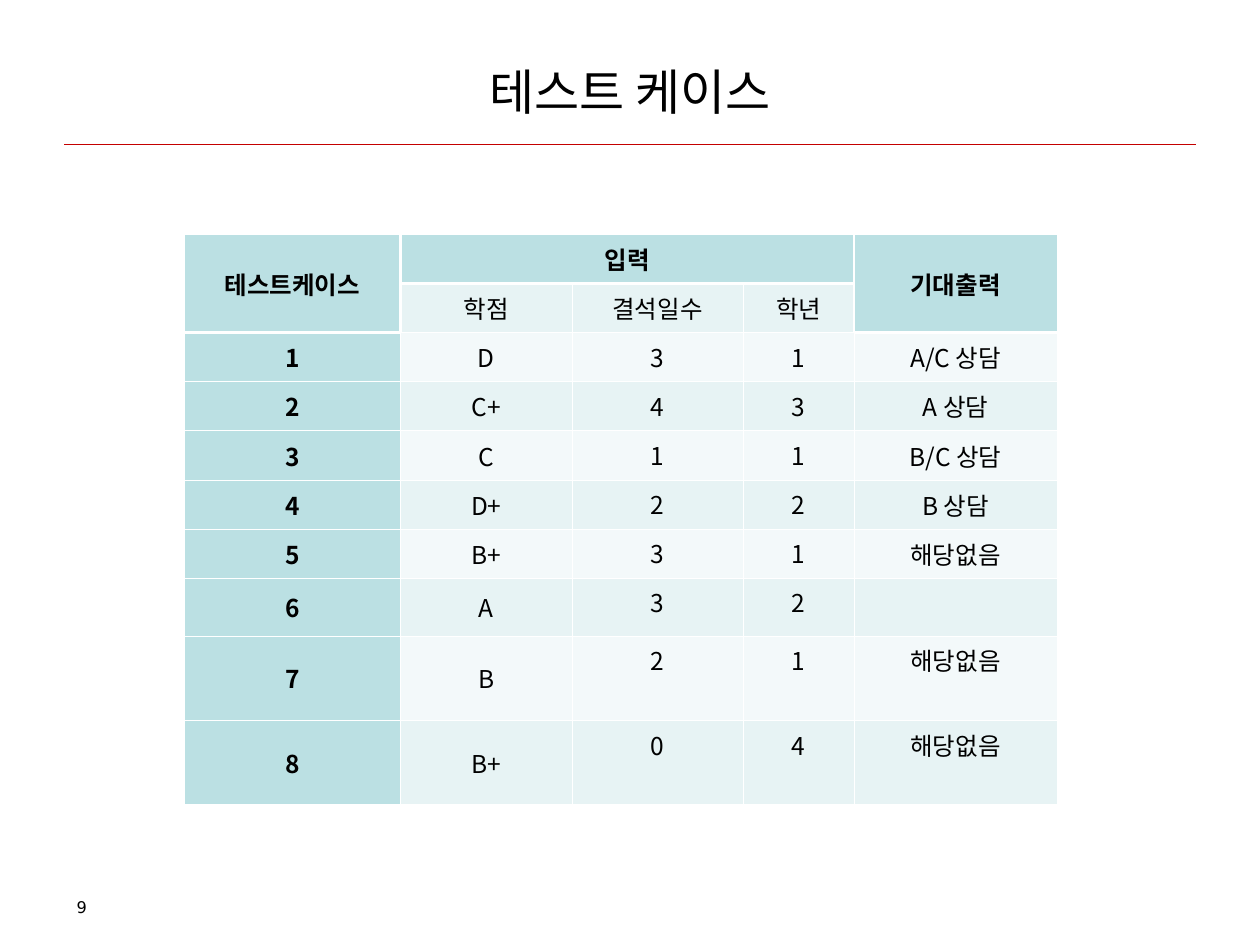
import pptx
import pptx.util
import pptx.dml.color
import pptx.enum.shapes
import pptx.enum.text
import pptx.oxml.ns
import lxml.etree

Inches, Pt = pptx.util.Inches, pptx.util.Pt
RGBColor = pptx.dml.color.RGBColor
ALIGN, ANCHOR = pptx.enum.text.PP_ALIGN, pptx.enum.text.MSO_ANCHOR
qn = pptx.oxml.ns.qn

BLACK = RGBColor(0x00, 0x00, 0x00)
RED = RGBColor(0xC4, 0x00, 0x00)
TEAL = RGBColor(0xBB, 0xE0, 0xE3)
PALE = RGBColor(0xE7, 0xF3, 0xF4)
PALEST = RGBColor(0xF3, 0xF9, 0xFA)
WHITE_HEX = "FFFFFF"
KOREAN = "Noto Sans CJK KR"

COLUMN_WIDTHS = [1.72, 1.36, 1.36, 0.88, 1.61]
ROW_HEIGHTS = [0.39] * 7 + [0.46, 0.67, 0.67]
ROWS = [
    ["테스트케이스", "입력", "", "", "기대출력"],
    ["", "학점", "결석일수", "학년", ""],
    ["1", "D", "3", "1", "A/C 상담"],
    ["2", "C+", "4", "3", "A 상담"],
    ["3", "C", "1", "1", "B/C 상담"],
    ["4", "D+", "2", "2", "B 상담"],
    ["5", "B+", "3", "1", "해당없음"],
    ["6", "A", "3", "2", ""],
    ["7", "B", "2", "1", "해당없음"],
    ["8", "B+", "0", "4", "해당없음"],
]


def write(para, text, size, font=KOREAN, bold=False, align=ALIGN.CENTER):
    para.alignment = align
    span = para.add_run()
    span.text = text
    for name, value in {"size": Pt(size), "name": font, "bold": bold}.items():
        setattr(span.font, name, value)
    span.font.color.rgb = BLACK
    east_asian = lxml.etree.SubElement(span.font._element, qn("a:ea"))
    east_asian.set("typeface", font)


def draw_border(cell, side, width):
    line = lxml.etree.SubElement(cell._tc.get_or_add_tcPr(), qn("a:ln" + side))
    line.set("w", str(Pt(width)))
    fill = lxml.etree.SubElement(line, qn("a:solidFill"))
    lxml.etree.SubElement(fill, qn("a:srgbClr")).set("val", WHITE_HEX)


deck = pptx.Presentation()
deck.slide_width, deck.slide_height = Inches(10), Inches(7.5)
width, height = deck.slide_width, deck.slide_height
page = deck.slides.add_slide(deck.slide_layouts[5])

# Title and the rule under it
title = page.shapes.title
title_format = {"left": 0.05, "top": 0.04, "width": 0.9, "height": 0.113}
for name, share in title_format.items():
    setattr(title, name, int(share * (width if name in ("left", "width") else height)))
title.text_frame.vertical_anchor = ANCHOR.MIDDLE
write(title.text_frame.paragraphs[0], "테스트 케이스", 28)

rule_y = title.top + title.height
rule = page.shapes.add_connector(
    pptx.enum.shapes.MSO_CONNECTOR.STRAIGHT,
    int(width * 0.051), rule_y, int(width * 0.949), rule_y)
rule.line.color.rgb = RED
rule.line.width = Pt(0.75)
lxml.etree.SubElement(rule._element.spPr, qn("a:effectLst"))

# Test case table
frame = page.shapes.add_table(
    len(ROWS), len(COLUMN_WIDTHS), Inches(1.46), Inches(1.86),
    Inches(sum(COLUMN_WIDTHS)), Inches(sum(ROW_HEIGHTS)))
table = frame.table
table.first_row = table.horz_banding = False
for column, size in zip(table.columns, COLUMN_WIDTHS):
    column.width = Inches(size)
for row, size in zip(table.rows, ROW_HEIGHTS):
    row.height = Inches(size)

for r, texts in enumerate(ROWS):
    for c, text in enumerate(texts):
        cell = table.cell(r, c)
        outer = c in (0, 4)
        heading = r == 0 or c == 0 or (r == 1 and outer)
        thick = {
            "L": r < 2 and c in (1, 4),
            "R": r < 2 and c in (0, 3),
            "T": r == 1 or (r == 2 and outer),
            "B": r == 0 or (r == 1 and outer),
        }
        for side, is_thick in thick.items():
            draw_border(cell, side, 1.47 if is_thick else 0.45)
        cell.fill.solid()
        cell.fill.fore_color.rgb = TEAL if heading else PALE if r % 2 else PALEST
        at_top = (r > 0 and c in (2, 3)) or (r > 7 and c == 4)
        cell_format = {
            "margin_left": Inches(0.07), "margin_right": Inches(0.07),
            "margin_top": Inches(0.05), "margin_bottom": Inches(0.05),
            "vertical_anchor": ANCHOR.TOP if at_top else ANCHOR.MIDDLE,
        }
        for name, value in cell_format.items():
            setattr(cell, name, value)
        if text:
            write(cell.text_frame.paragraphs[0], text, 14, bold=heading)

for first, last in (((0, 0), (1, 0)), ((0, 1), (0, 3)), ((0, 4), (1, 4))):
    table.cell(*first).merge(table.cell(*last))

# Page number
box = page.shapes.add_textbox(
    int(width * 0.051), int(height * 0.945), int(width * 0.233), int(height * 0.037))
box.text_frame.word_wrap = True
number = box.text_frame.paragraphs[0]
number.line_spacing = 0.9
write(number, "9", 9.2, font="DejaVu Sans", align=ALIGN.LEFT)

deck.save("out.pptx")
